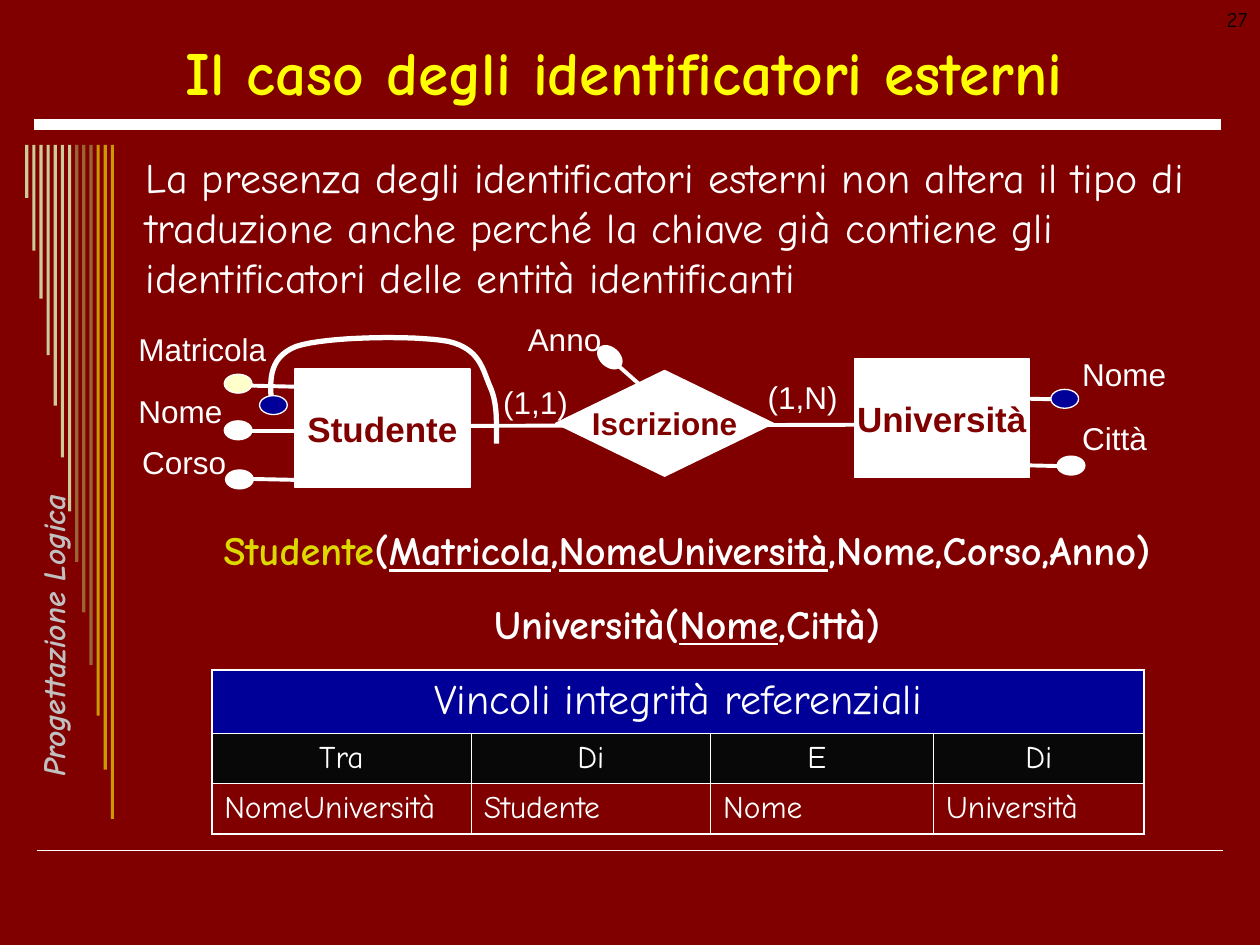
from lxml import etree
from pptx import Presentation
from pptx.dml.color import RGBColor
from pptx.enum.shapes import MSO_CONNECTOR as Connector, MSO_SHAPE as Shape
from pptx.enum.text import MSO_ANCHOR as Anchor, PP_ALIGN as Align
from pptx.oxml.ns import qn
from pptx.util import Inches, Pt

MAROON = RGBColor(0x80, 0x00, 0x00)
WHITE = RGBColor(0xFF, 0xFF, 0xFF)
BLACK = RGBColor(0x00, 0x00, 0x00)
YELLOW = RGBColor(0xFF, 0xFF, 0x00)
GOLD = RGBColor(0xDD, 0xD8, 0x00)
NAVY = RGBColor(0x00, 0x00, 0x99)
NEAR_BLACK = RGBColor(0x08, 0x08, 0x08)
CREAM = RGBColor(0xFF, 0xFF, 0xCC)
SILVER = RGBColor(0xC0, 0xC0, 0xC0)
SAND = RGBColor(0xCC, 0xCC, 0x99)
BROWN = RGBColor(0x99, 0x66, 0x33)
OCHRE = RGBColor(0xCC, 0x99, 0x00)
COMIC, ARIAL = "Comic Neue", "Arial"


def add_run(paragraph, text, size, color=WHITE, font=COMIC, bold=False,
            italic=False, underline=False):
    run = paragraph.add_run()
    run.text = text
    run.font.size, run.font.name = Pt(size), font
    run.font.color.rgb = color
    run.font.bold, run.font.italic = bold, italic
    run.font.underline = underline


def add_text(slide, box, text, size, align=Align.LEFT, wrap=True, **style):
    label = slide.shapes.add_textbox(*map(Inches, box))
    label.text_frame.word_wrap = wrap
    paragraph = label.text_frame.paragraphs[0]
    paragraph.alignment = align
    add_run(paragraph, text, size, **style)
    return label


def add_line(slide, start, end, width):
    line = slide.shapes.add_connector(
        Connector.STRAIGHT, *map(Inches, (*start, *end)))
    line.line.color.rgb, line.line.width = WHITE, Pt(width)
    etree.SubElement(line._element.spPr, qn("a:effectLst"))


def add_shape(slide, kind, box, fill, outlined=True):
    shape = slide.shapes.add_shape(kind, *map(Inches, box))
    shape.shadow.inherit = False
    shape.fill.solid()
    shape.fill.fore_color.rgb = fill
    if outlined:
        shape.line.color.rgb, shape.line.width = WHITE, Pt(0.75)
    else:
        shape.line.fill.background()
    return shape


def add_side_bars(slide, left, top):
    heights = (0.42, 0.84, 1.22, 1.67, 2.07, 2.48, 2.91,
               3.31, 3.71, 4.13, 4.53, 4.96, 5.35)
    colors = [SAND] * 7 + [BROWN] * 3 + [OCHRE] * 3
    pitch = 0.68 / (len(heights) - 1)
    for i, (height, color) in enumerate(zip(heights, colors)):
        add_shape(slide, Shape.RECTANGLE, (left + i * pitch, top, 0.025, height),
                  color, outlined=False)


def add_frame(slide):
    # Rules, side decoration, course name and page number
    add_line(slide, (0.29, 6.75), (9.71, 6.75), 1)
    add_line(slide, (0.27, 0.99), (9.69, 0.99), 6)
    add_side_bars(slide, 0.2, 1.15)
    course = add_text(slide, (-1.11, 4.92, 2.91, 0.25), "Progettazione Logica", 18,
                      Align.CENTER, color=SILVER, bold=True, italic=True)
    course.rotation = 270
    add_text(slide, (7.67, 0, 2.33, 0.5), "27", 12, Align.RIGHT, color=BLACK)


def add_body(slide, box):
    body = slide.shapes.add_textbox(*map(Inches, box)).text_frame
    body.word_wrap = True
    add_run(body.paragraphs[0],
            "La presenza degli identificatori esterni non altera il tipo di "
            "traduzione anche perché la chiave già contiene gli identificatori "
            "delle entità identificanti", 24)
    # Relational schemas: space before, then (text, color, underlined) parts
    schemas = (
        (127.4, (("Studente", GOLD, False), ("(", WHITE, False),
                 ("Matricola", WHITE, True), (",", WHITE, False),
                 ("NomeUniversità", WHITE, True),
                 (",Nome,Corso,Anno)", WHITE, False))),
        (14.5, (("Università(", WHITE, False), ("Nome", WHITE, True),
                (",Città)", WHITE, False))),
    )
    for space, parts in schemas:
        schema = body.add_paragraph()
        schema.alignment, schema.space_before = Align.CENTER, Pt(space)
        for text, color, underlined in parts:
            add_run(schema, text, 23, color, bold=True, underline=underlined)


def bezier(p0, p1, p2, p3, steps=16):
    for t in (i / steps for i in range(1, steps + 1)):
        u = 1 - t
        yield tuple(u**3 * a + 3 * u * u * t * b + 3 * u * t * t * c + t**3 * d
                    for a, b, c, d in zip(p0, p1, p2, p3))


def add_identifier_curve(slide, left, top):
    knots = [(Inches(left + x), Inches(top + y)) for x, y in (
        (1.16, 0.74), (1.14, 0.54), (1.12, 0.34), (1.35, 0.25), (1.58, 0.17),
        (2.3, 0.16), (2.56, 0.21), (2.81, 0.27), (2.83, 0.43), (2.89, 0.57),
        (2.95, 0.7), (2.94, 0.86), (2.94, 1.02))]
    points = [point for i in range(0, len(knots) - 1, 3)
              for point in bezier(*knots[i:i + 4])]
    builder = slide.shapes.build_freeform(*knots[0])
    builder.add_line_segments(points, close=False)
    curve = builder.convert_to_shape()
    curve.shadow.inherit = False
    curve.fill.background()
    curve.line.color.rgb, curve.line.width = WHITE, Pt(3)


def add_er_diagram(slide, left, top):
    add_identifier_curve(slide, left, top)
    add_line(slide, (left + 6.29, top + 0.87), (left + 2.73, top + 0.88), 2.25)

    # Attributes: line start, line end, dot corner, dot color, dot rotation
    attributes = (
        ((1.37, 0.57), (0.96, 0.56), (0.78, 0.47), CREAM, 0),
        ((1.39, 0.92), (0.94, 0.92), (0.78, 0.84), WHITE, 0),
        ((1.4, 1.31), (0.95, 1.3), (0.79, 1.23), WHITE, 0),
        ((6.95, 0.66), (7.4, 0.67), (7.34, 0.59), NAVY, 0),
        ((7, 1.19), (7.45, 1.2), (7.39, 1.12), WHITE, 0),
        ((4.21, 0.67), (3.87, 0.37), (3.73, 0.26), WHITE, 41.3),
        (None, None, (1.06, 0.64), NAVY, 0),  # external identifier
    )
    for start, end, (x, y), color, angle in attributes:
        if start:
            add_line(slide, (left + start[0], top + start[1]),
                     (left + end[0], top + end[1]), 2.25)
        dot = add_shape(slide, Shape.OVAL, (left + x, top + y, 0.22, 0.15), color)
        dot.rotation = angle

    # Entities and relationship
    nodes = (
        ("Iscrizione", Shape.DIAMOND, 3.41, 0.44, 1.73, 0.84, 18),
        ("Studente", Shape.RECTANGLE, 1.34, 0.43, 1.39, 0.94, 20),
        ("Università", Shape.RECTANGLE, 5.78, 0.35, 1.39, 0.94, 20),
    )
    for name, kind, x, y, width, height, size in nodes:
        node = add_shape(slide, kind, (left + x, top + y, width, height), WHITE)
        frame = node.text_frame
        frame.word_wrap, frame.vertical_anchor = False, Anchor.MIDDLE
        frame.paragraphs[0].alignment = Align.CENTER
        add_run(frame.paragraphs[0], name, size, MAROON, ARIAL, bold=True)

    # Attribute names and cardinalities
    labels = (
        ("Matricola", 0, 0.07, 1.98, Align.LEFT),
        ("Nome", 0, 0.56, 1.32, Align.LEFT),
        ("Corso", 0.03, 0.97, 1.32, Align.LEFT),
        ("Anno", 3.09, -0.01, 1.98, Align.LEFT),
        ("Nome", 7.49, 0.27, 0.88, Align.LEFT),
        ("Città", 7.49, 0.78, 0.88, Align.LEFT),
        ("(1,1)", 2.59, 0.49, 1.32, Align.CENTER),
        ("(1,N)", 4.71, 0.45, 1.32, Align.CENTER),
    )
    for text, x, y, width, align in labels:
        add_text(slide, (left + x, top + y, width, 0.4), text, 18, align, font=ARIAL)


def set_borders(cell, outer):
    for side in "LRTB":
        width = Pt(1.08 if side in outer else 0.45)
        border = etree.SubElement(cell._tc.get_or_add_tcPr(), qn(f"a:ln{side}"),
                                  w=str(width))
        fill = etree.SubElement(border, qn("a:solidFill"))
        etree.SubElement(fill, qn("a:srgbClr"), val=str(WHITE))


def add_constraints_table(slide, box):
    rows = (("Vincoli integrità referenziali", "", "", ""),
            ("Tra", "Di", "E ", "Di"),
            ("NomeUniversità", "Studente", "Nome", "Università"))
    fills = (NAVY, NEAR_BLACK, None)
    table = slide.shapes.add_table(3, 4, *map(Inches, box)).table
    table.first_row = table.horz_banding = False
    for column, width in zip(table.columns, (2.06, 1.9, 1.77, 1.67)):
        column.width = Inches(width)
    for row, height in zip(table.rows, (0.5, 0.4, 0.4)):
        row.height = Inches(height)
    table.cell(0, 0).merge(table.cell(0, 3))
    for r, (texts, fill) in enumerate(zip(rows, fills)):
        for c, text in enumerate(texts):
            cell = table.cell(r, c)
            set_borders(cell, {0: "T", 2: "B"}.get(r, "")
                        + ("LR" if r == 0 else {0: "L", 3: "R"}.get(c, "")))
            if fill is None:
                cell.fill.background()
            else:
                cell.fill.solid()
                cell.fill.fore_color.rgb = fill
            if text:
                paragraph = cell.text_frame.paragraphs[0]
                paragraph.alignment = Align.LEFT if r == 2 else Align.CENTER
                add_run(paragraph, text, 24 if r == 0 else 18)


def main():
    deck = Presentation()
    deck.slide_width, deck.slide_height = Inches(10), Inches(7.5)
    slide = deck.slides.add_slide(deck.slide_layouts[6])
    slide.background.fill.solid()
    slide.background.fill.fore_color.rgb = MAROON
    add_frame(slide)
    title = add_text(slide, (0.35, 0.21, 9.21, 0.71),
                     "Il caso degli identificatori esterni", 35, Align.CENTER,
                     color=YELLOW, bold=True)
    title.text_frame.vertical_anchor = Anchor.MIDDLE
    add_body(slide, (1.06, 1.15, 8.79, 5.51))
    add_er_diagram(slide, 1, 2.5)
    add_constraints_table(slide, (1.68, 5.32, 7.4, 1.3))
    deck.save("out.pptx")


if __name__ == "__main__":
    main()
